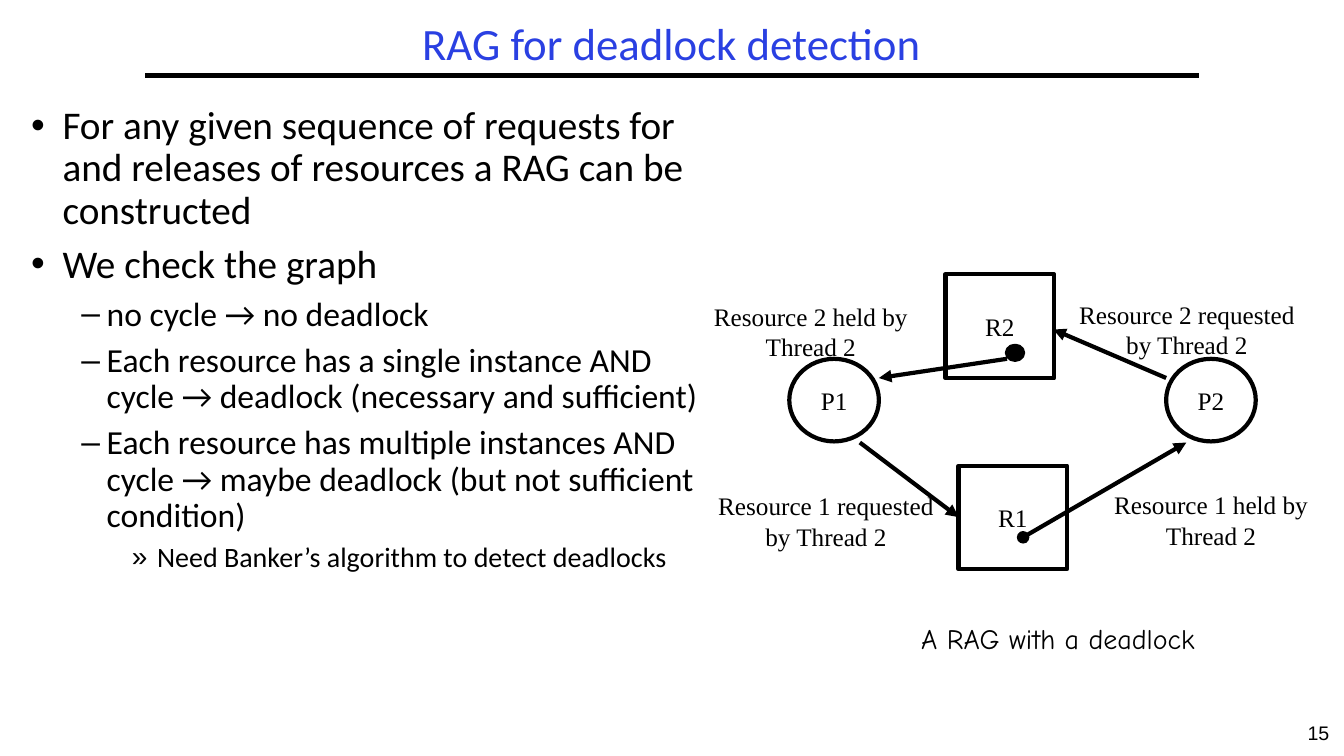
from dataclasses import dataclass
from pptx import Presentation
from pptx.dml.color import RGBColor
from pptx.enum.shapes import MSO_CONNECTOR as Connector, MSO_SHAPE as Preset
from pptx.enum.text import MSO_ANCHOR as Anchor, PP_ALIGN as Align
from pptx.oxml.ns import qn
from pptx.util import Pt
from lxml.etree import SubElement

TITLE = "RAG for deadlock detection"
BULLETS = [
    (0, "For any given sequence of requests for and releases of resources a RAG can be constructed"),
    (0, "We check the graph"),
    (1, "no cycle → no deadlock"),
    (1, "Each resource has a single instance AND cycle → deadlock (necessary and sufficient)"),
    (1, "Each resource has multiple instances AND cycle → maybe deadlock (but not sufficient condition)"),
    (2, "Need Banker’s algorithm to detect deadlocks"),
]
PROCESSES = [("P1", (563.8, 256.3, 64, 59)), ("P2", (833, 256.3, 64, 59))]
RESOURCES = [("R1", (684.7, 332.6, 77.4, 74)), ("R2", (675.4, 195.8, 77.4, 74.5))]
INSTANCE_DOT = (719.3, 247, 11.5, 10)
EDGES = [
    ((614.2, 316.1), (684.7, 369.4), None),
    ((730.8, 383.8), (847.4, 316.1), "oval"),
    ((833, 270), (752.4, 235.4), None),
    ((719.3, 256.3), (627.8, 270), None),
]
EDGE_LABELS = [
    ("Resource 1 held by Thread 2", (784.8, 346.3, 160.6, 50.4)),
    ("Resource 2 requested by Thread 2", (761.8, 210.2, 172, 50.4)),
    ("Resource 1 requested by Thread 2", (504, 347, 172, 50.4)),
    ("Resource 2 held by Thread 2", (493.2, 211.7, 172, 50.4)),
]
CAPTION = ("A RAG with a deadlock", (650.9, 440.6, 226.8, 31.7))
PAGE_NUMBER = ("15", (923.8, 511.2, 36, 28.8))
TITLE_BOX = (103.7, 12.2, 752, 41.8)
BODY_BOX = (15.1, 72, 502.6, 437.8)
RULE = ((103.7, 54), (856.1, 54))


@dataclass(frozen=True)
class Theme:
    black: RGBColor = RGBColor(0, 0, 0)
    white: RGBColor = RGBColor(255, 255, 255)
    blue: RGBColor = RGBColor(0x2A, 0x40, 0xE2)
    main_font: str = "Calibri"
    graph_font: str = "Times New Roman"
    caption_font: str = "Comic Neue"
    number_font: str = "Arial"
    title_size: int = 32
    caption_size: int = 20
    graph_size: int = 18
    number_size: int = 14
    stroke: int = 3
    levels: tuple = ((28, "•", 22.5, 22.5), (24, "–", 54, 18), (20, "»", 90, 18))


THEME = Theme()


def points(values):
    return [Pt(value) for value in values]


def style(paragraph, font_name, size, color=THEME.black, align=Align.CENTER):
    paragraph.alignment = align
    paragraph.font.name = font_name
    paragraph.font.size = Pt(size)
    paragraph.font.color.rgb = color


def add_text(slide, text, box, font_name, size, align=Align.CENTER):
    frame = slide.shapes.add_textbox(*points(box)).text_frame
    frame.word_wrap = True
    frame.text = text
    style(frame.paragraphs[0], font_name, size, align=align)


def add_node(slide, preset, box, fill, text=""):
    shape = slide.shapes.add_shape(preset, *points(box))
    shape.shadow.inherit = False
    shape.fill.solid()
    shape.fill.fore_color.rgb = fill
    shape.line.color.rgb = THEME.black
    shape.line.width = Pt(THEME.stroke)
    if text:
        frame = shape.text_frame
        frame.word_wrap = False
        frame.vertical_anchor = Anchor.MIDDLE
        frame.text = text
        style(frame.paragraphs[0], THEME.graph_font, THEME.graph_size)


def add_line(slide, start, end, head=None, tail=None):
    connector = slide.shapes.add_connector(Connector.STRAIGHT, *points(start + end))
    connector.line.color.rgb = THEME.black
    connector.line.width = Pt(THEME.stroke)
    outline = connector.line._get_or_add_ln()
    for tag, kind in (("a:headEnd", head), ("a:tailEnd", tail)):
        if kind:
            SubElement(outline, qn(tag), type=kind)
    SubElement(connector._element.spPr, qn("a:effectLst"))


def add_title(slide):
    title = slide.shapes.title
    title.left, title.top, title.width, title.height = points(TITLE_BOX)
    frame = title.text_frame
    frame.text = TITLE
    frame.vertical_anchor = Anchor.MIDDLE
    frame.paragraphs[0].line_spacing = 0.9
    style(frame.paragraphs[0], THEME.main_font, THEME.title_size, THEME.blue)


def add_bullets(slide):
    frame = slide.shapes.add_textbox(*points(BODY_BOX)).text_frame
    frame.word_wrap = True
    for index, (level, text) in enumerate(BULLETS):
        size, bullet, margin, hanging = THEME.levels[level]
        paragraph = frame.add_paragraph() if index else frame.paragraphs[0]
        paragraph.text = text
        paragraph.level = level
        paragraph.line_spacing = 0.9
        if index:
            paragraph.space_before = Pt(size * 0.3)
        properties = paragraph._p.get_or_add_pPr()
        properties.set("marL", str(Pt(margin)))
        properties.set("indent", str(-Pt(hanging)))
        SubElement(properties, qn("a:buFont"), typeface="Arial")
        SubElement(properties, qn("a:buChar"), char=bullet)
        style(paragraph, THEME.main_font, size, align=Align.LEFT)


def add_graph(slide):
    for name, box in PROCESSES:
        add_node(slide, Preset.OVAL, box, THEME.white, name)
    for name, box in RESOURCES:
        add_node(slide, Preset.RECTANGLE, box, THEME.white, name)
    add_node(slide, Preset.OVAL, INSTANCE_DOT, THEME.black)
    for start, end, head in EDGES:
        add_line(slide, start, end, head, "triangle")
    for text, box in EDGE_LABELS:
        add_text(slide, text, box, THEME.graph_font, THEME.graph_size)
    add_text(slide, *CAPTION, THEME.caption_font, THEME.caption_size, Align.LEFT)


def main():
    presentation = Presentation()
    presentation.slide_width, presentation.slide_height = Pt(960), Pt(540)
    slide = presentation.slides.add_slide(presentation.slide_layouts[5])
    add_line(slide, *RULE)
    add_text(slide, *PAGE_NUMBER, THEME.number_font, THEME.number_size)
    add_title(slide)
    add_bullets(slide)
    add_graph(slide)
    presentation.save("out.pptx")


if __name__ == "__main__":
    main()
